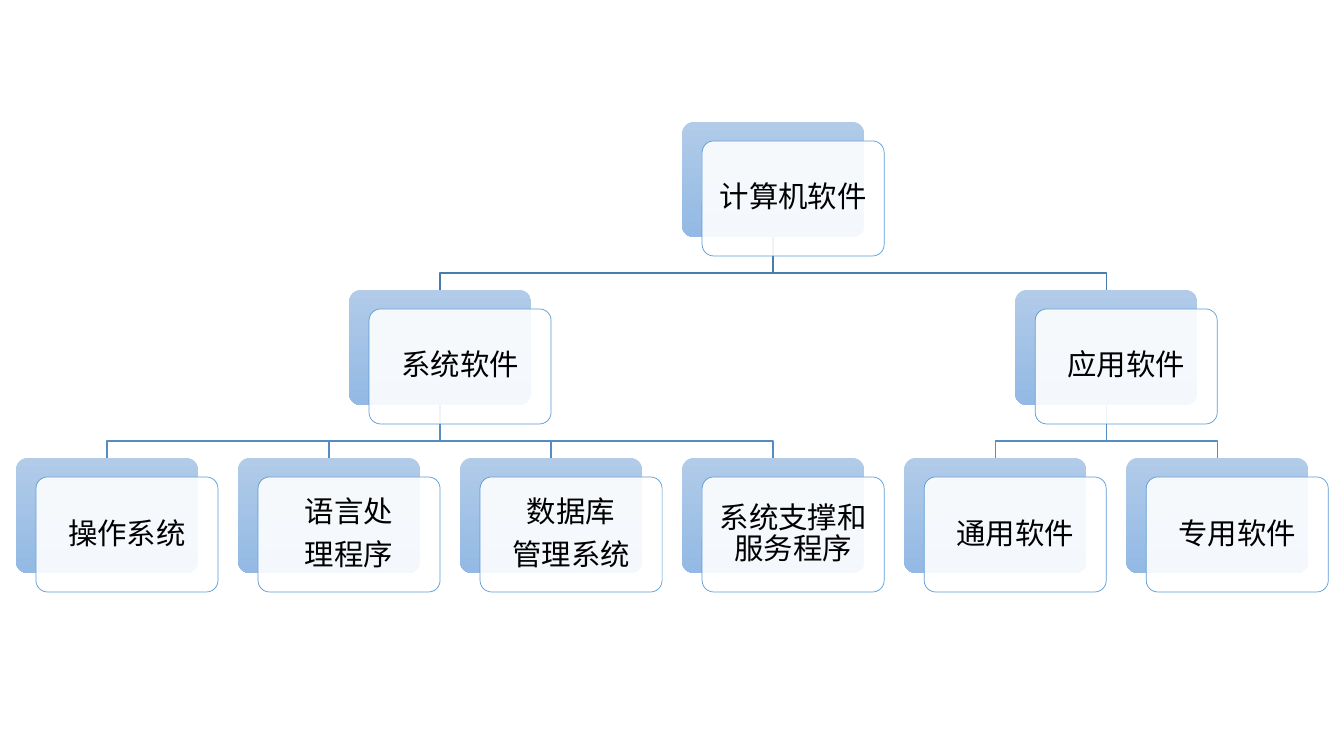
import dataclasses
import itertools

import lxml.etree
import pptx
import pptx.dml.color
import pptx.enum.shapes
import pptx.enum.text
import pptx.oxml.ns
import pptx.util

EMU_PER_PX = 914400 / 100.8

LEFT, TOP = 16, 122
COLUMN_PITCH, ROW_PITCH = 222, 168
CARD_WIDTH, CARD_HEIGHT = 182, 115
FRONT_SHIFT_X, FRONT_SHIFT_Y = 20, 19
BEND_ABOVE_CHILD = 17
CARD_INSET = 9

SOFTWARE_TREE = ("计算机软件", [
    ("系统软件", [
        ("操作系统", []),
        ("语言处\n理程序", []),
        ("数据库\n管理系统", []),
        ("系统支撑和服务程序", []),
    ]),
    ("应用软件", [
        ("通用软件", []),
        ("专用软件", []),
    ]),
])


@dataclasses.dataclass
class Theme:
    font: str = "Noto Sans CJK SC"
    text_size: int = 21
    space_after: int = 8
    line_spacing: float = 0.9
    text: str = "000000"
    card_top: str = "B1CBE9"
    card_bottom: str = "93B9E4"
    front_fill: str = "FFFFFF"
    front_opacity: int = 90
    front_line: str = "5B9BD5"
    front_line_width: float = 0.5
    branch_lines: tuple = ("497CAB", "538DC1")
    branch_width: int = 1


@dataclasses.dataclass
class Node:
    label: str
    depth: int
    column: float
    children: list

    @property
    def left(self):
        return round(LEFT + self.column * COLUMN_PITCH)

    @property
    def top(self):
        return TOP + self.depth * ROW_PITCH

    @property
    def center(self):
        return self.left + CARD_WIDTH // 2

    def walk(self):
        yield self
        for child in self.children:
            yield from child.walk()


def arrange(branch, columns, depth=0):
    label, branches = branch
    children = [arrange(child, columns, depth + 1) for child in branches]
    if children:
        column = (children[0].column + children[-1].column) / 2
    else:
        column = next(columns)
    return Node(label, depth, column, children)


def px(length):
    return pptx.util.Emu(round(length * EMU_PER_PX))


def rgb(value):
    return pptx.dml.color.RGBColor.from_string(value)


class TreeSlide:
    def __init__(self, slide, theme):
        self.slide = slide
        self.theme = theme

    def branch(self, parent, child):
        start = parent.top + CARD_HEIGHT
        bend = child.top - BEND_ABOVE_CHILD
        builder = self.slide.shapes.build_freeform(parent.center, start, EMU_PER_PX)
        builder.add_line_segments(
            [(parent.center, bend), (child.center, bend), (child.center, child.top)],
            close=False,
        )
        shape = builder.convert_to_shape()
        shape.shadow.inherit = False
        shape.fill.background()
        shape.line.color.rgb = rgb(self.theme.branch_lines[parent.depth])
        shape.line.width = pptx.util.Pt(self.theme.branch_width)

    def rounded_box(self, left, top):
        shape = self.slide.shapes.add_shape(
            pptx.enum.shapes.MSO_SHAPE.ROUNDED_RECTANGLE,
            px(left), px(top), px(CARD_WIDTH), px(CARD_HEIGHT),
        )
        shape.adjustments[0] = 0.1
        shape.shadow.inherit = False
        return shape

    def card(self, node):
        back = self.rounded_box(node.left, node.top)
        back.line.fill.background()
        back.fill.gradient()
        back.fill.gradient_angle = 270
        colors = (self.theme.card_top, self.theme.card_bottom)
        for stop, color in zip(back.fill.gradient_stops, colors):
            stop.color.rgb = rgb(color)

        front = self.rounded_box(node.left + FRONT_SHIFT_X, node.top + FRONT_SHIFT_Y)
        front.fill.solid()
        front.fill.fore_color.rgb = rgb(self.theme.front_fill)
        color = front._element.spPr.find(".//" + pptx.oxml.ns.qn("a:srgbClr"))
        alpha = lxml.etree.SubElement(color, pptx.oxml.ns.qn("a:alpha"))
        alpha.set("val", str(self.theme.front_opacity * 1000))
        front.line.color.rgb = rgb(self.theme.front_line)
        front.line.width = pptx.util.Pt(self.theme.front_line_width)
        self.label(front.text_frame, node.label)

    def label(self, frame, text):
        frame.word_wrap = True
        frame.vertical_anchor = pptx.enum.text.MSO_ANCHOR.MIDDLE
        frame.margin_left = frame.margin_right = px(CARD_INSET)
        frame.margin_top = frame.margin_bottom = px(CARD_INSET)
        frame.text = text
        for paragraph in frame.paragraphs:
            paragraph.alignment = pptx.enum.text.PP_ALIGN.CENTER
            paragraph.line_spacing = self.theme.line_spacing
            paragraph.space_after = pptx.util.Pt(self.theme.space_after)
            paragraph.font.size = pptx.util.Pt(self.theme.text_size)
            paragraph.font.color.rgb = rgb(self.theme.text)
            paragraph.font.name = self.theme.font
            properties = paragraph._p.pPr.find(pptx.oxml.ns.qn("a:defRPr"))
            east_asian = lxml.etree.SubElement(properties, pptx.oxml.ns.qn("a:ea"))
            east_asian.set("typeface", self.theme.font)


def main():
    presentation = pptx.Presentation()
    presentation.slide_width = pptx.util.Inches(13.33)
    presentation.slide_height = pptx.util.Inches(7.5)
    slide = presentation.slides.add_slide(presentation.slide_layouts[6])
    tree_slide = TreeSlide(slide, Theme())
    nodes = list(arrange(SOFTWARE_TREE, itertools.count()).walk())
    for parent in nodes:
        for child in parent.children:
            tree_slide.branch(parent, child)
    for node in nodes:
        tree_slide.card(node)
    presentation.save("out.pptx")


if __name__ == "__main__":
    main()
